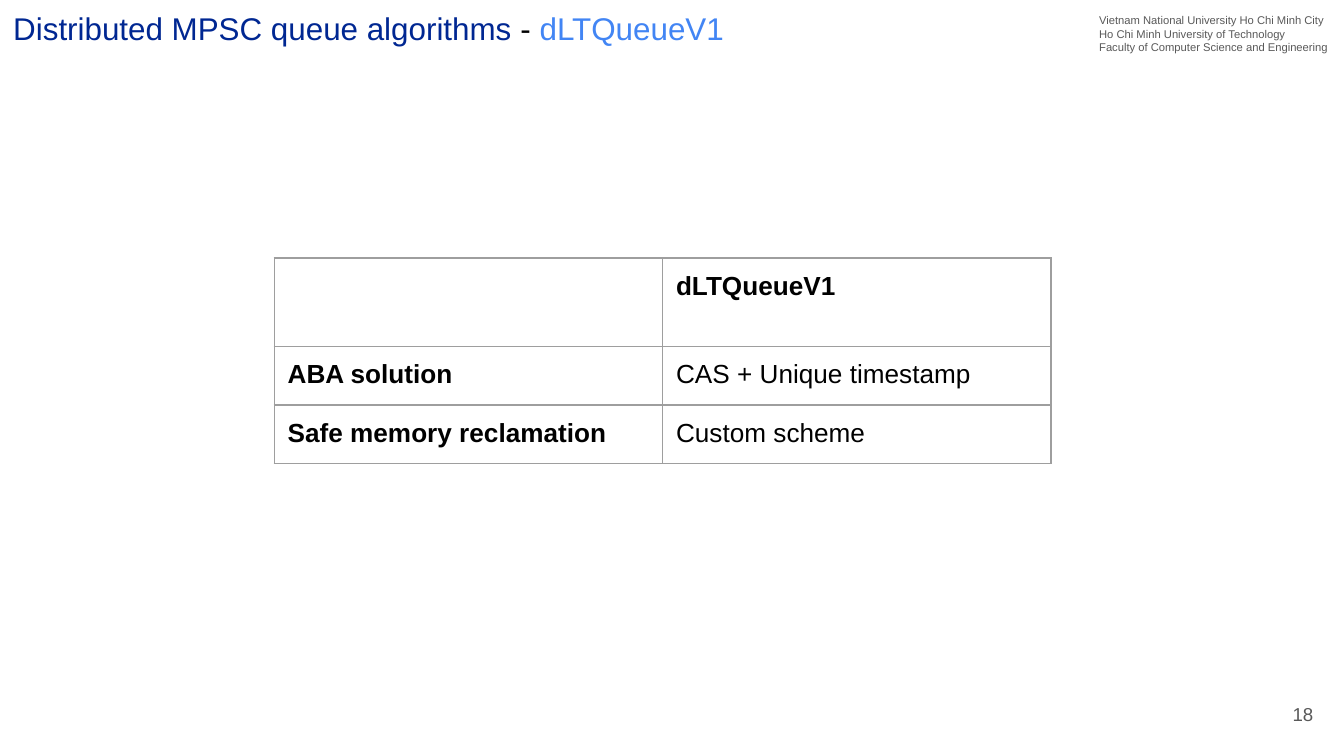
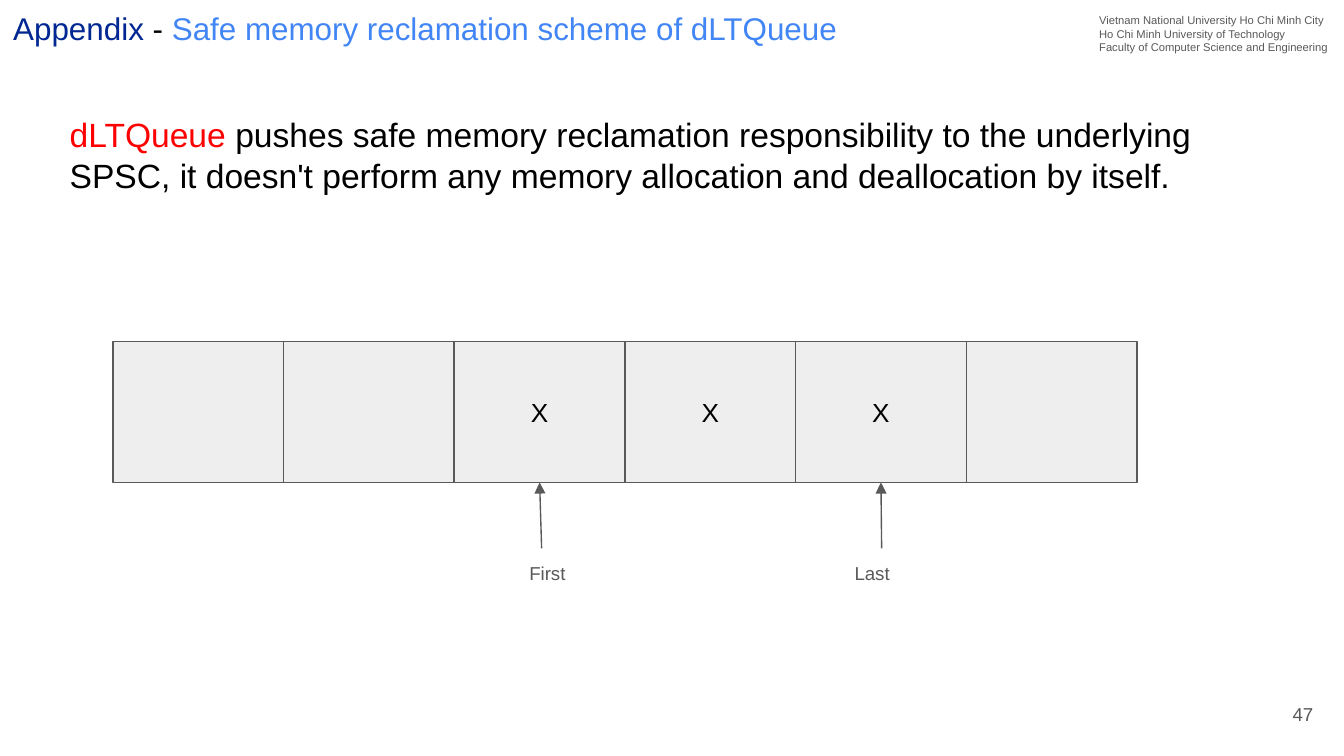
from lxml import etree
from pptx import Presentation
from pptx import util as u
from pptx.dml.color import RGBColor
from pptx.enum import shapes, text
from pptx.oxml import ns

NAVY = RGBColor(0x00, 0x27, 0x92)
BLUE = RGBColor(0x42, 0x85, 0xF4)
RED = RGBColor(0xFF, 0x00, 0x00)
BLACK = RGBColor(0x00, 0x00, 0x00)
GRAY = RGBColor(0x59, 0x59, 0x59)
SLOT_FILL = RGBColor(0xEE, 0xEE, 0xEE)
BORDER = RGBColor(0x9E, 0x9E, 0x9E)
FONT = "Arial"
INSET = u.Inches(0.1)
LINE_WIDTH = u.Pt(0.75)

HEADER = ["Vietnam National University Ho Chi Minh City",
          "Ho Chi Minh University of Technology",
          "Faculty of Computer Science and Engineering"]


def add_text(slide, left, top, width, height, paragraphs, size,
             anchor=text.MSO_ANCHOR.TOP, align=text.PP_ALIGN.LEFT):
    """Add a text box; each paragraph is a list of (text, colour) runs."""
    box = slide.shapes.add_textbox(u.Inches(left), u.Inches(top), u.Inches(width), u.Inches(height))
    frame = box.text_frame
    frame.word_wrap = True
    frame.vertical_anchor = anchor
    frame.margin_left = frame.margin_right = frame.margin_top = frame.margin_bottom = INSET
    for index, runs in enumerate(paragraphs):
        paragraph = frame.paragraphs[0] if index == 0 else frame.add_paragraph()
        paragraph.alignment = align
        for words, colour in runs:
            run = paragraph.add_run()
            run.text = words
            run.font.name = FONT
            run.font.size = u.Pt(size)
            run.font.color.rgb = colour


def add_base_slide(presentation, section, topic, number):
    """Add a slide with the shared title, university header and page number."""
    slide = presentation.slides.add_slide(presentation.slide_layouts[6])
    add_text(slide, 0, 0, 7.79, 0.45, [[(section + " ", NAVY), ("- ", BLACK), (topic, BLUE)]],
             16.8, text.MSO_ANCHOR.BOTTOM)
    add_text(slide, 8.08, 0, 1.92, 0.5, [[(line, GRAY)] for line in HEADER], 6)
    add_text(slide, 9.27, 5.1, 0.6, 0.43, [[(number, GRAY)]], 10,
             text.MSO_ANCHOR.MIDDLE, text.PP_ALIGN.RIGHT)
    return slide


# Widescreen 16:9 page
presentation = Presentation()
presentation.slide_width = u.Inches(10)
presentation.slide_height = u.Inches(10 * 9 / 16)

# Slide 1: properties of dLTQueueV1
slide = add_base_slide(presentation, "Distributed MPSC queue algorithms", "dLTQueueV1", "18")
rows = [["", "dLTQueueV1"],
        ["ABA solution", "CAS + Unique timestamp"],
        ["Safe memory reclamation", "Custom scheme"]]
row_heights = [0.66, 0.42, 0.42]
table = slide.shapes.add_table(len(rows), 2, u.Inches(2.04), u.Inches(1.92),
                               u.Inches(5.78), u.Inches(sum(row_heights))).table
table.first_row = table.horz_banding = False
for column in table.columns:
    column.width = u.Inches(2.89)
for row_index, labels in enumerate(rows):
    table.rows[row_index].height = u.Inches(row_heights[row_index])
    for column_index, label in enumerate(labels):
        cell = table.cell(row_index, column_index)
        cell.margin_left = cell.margin_right = cell.margin_top = cell.margin_bottom = INSET
        paragraph = cell.text_frame.paragraphs[0]
        paragraph.text = label
        paragraph.line_spacing = 1.0
        for run in paragraph.runs:
            run.font.name = FONT
            run.font.size = u.Pt(14)
            run.font.bold = row_index == 0 or column_index == 0
            run.font.color.rgb = BLACK
        # Cell borders come before the fill
        properties = cell._tc.get_or_add_tcPr()
        for side in ("a:lnL", "a:lnR", "a:lnT", "a:lnB"):
            border = etree.SubElement(properties, ns.qn(side), w=str(int(LINE_WIDTH)))
            solid = etree.SubElement(border, ns.qn("a:solidFill"))
            etree.SubElement(solid, ns.qn("a:srgbClr"), val=str(BORDER))
        cell.fill.background()

# Slide 2: memory reclamation in the underlying queue
slide = add_base_slide(presentation, "Appendix", "Safe memory reclamation scheme of dLTQueue", "47")
add_text(slide, 0.42, 0.75, 8.75, 0.81,
         [[("dLTQueue", RED),
           (" pushes safe memory reclamation responsibility to the underlying SPSC, "
            "it doesn't perform any memory allocation and deallocation by itself.", BLACK)]], 18)

# Row of queue slots
slot_width = 1.27
slots = []
for index, mark in enumerate(["", "", "X", "X", "X", ""]):
    slot = slide.shapes.add_shape(shapes.MSO_SHAPE.RECTANGLE, u.Inches(0.84 + index * slot_width),
                                  u.Inches(2.54), u.Inches(slot_width), u.Inches(1.05))
    slot.shadow.inherit = False
    slot.fill.solid()
    slot.fill.fore_color.rgb = SLOT_FILL
    slot.line.color.rgb = GRAY
    slot.line.width = LINE_WIDTH
    if mark:
        slot.text_frame.text = mark
        slot.text_frame.vertical_anchor = text.MSO_ANCHOR.MIDDLE
        paragraph = slot.text_frame.paragraphs[0]
        paragraph.alignment = text.PP_ALIGN.CENTER
        font = paragraph.runs[0].font
        font.name = FONT
        font.size = u.Pt(14)
        font.color.rgb = BLACK
    slots.append(slot)

# Pointers to the first and last used slots
for label, slot, start, left, width in [("First", slots[2], 4.03, 3.84, 0.6),
                                        ("Last", slots[4], 6.56, 6.26, 0.52)]:
    arrow = slide.shapes.add_connector(shapes.MSO_CONNECTOR.STRAIGHT, u.Inches(start), u.Inches(4.08),
                                       u.Inches(start), u.Inches(3.59))
    arrow.end_connect(slot, 2)
    arrow.line.color.rgb = GRAY
    arrow.line.width = LINE_WIDTH
    etree.SubElement(arrow.line._get_or_add_ln(), ns.qn("a:tailEnd"), type="triangle")
    etree.SubElement(arrow._element.spPr, ns.qn("a:effectLst"))
    add_text(slide, left, 4.1, width, 0.37, [[(label, GRAY)]], 10)

presentation.save("out.pptx")
